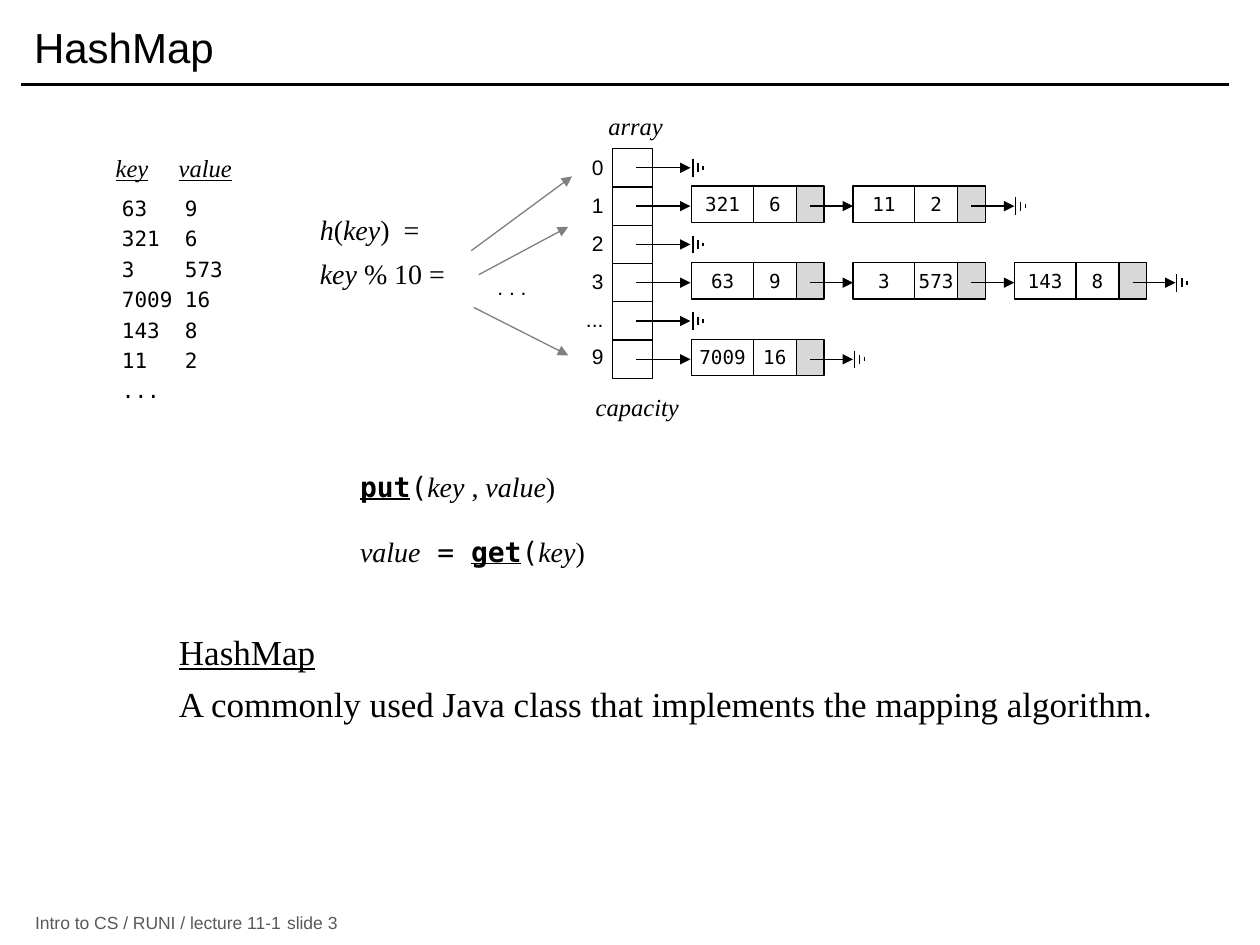
from lxml.etree import SubElement
from pptx import Presentation
from pptx.dml.color import RGBColor
from pptx.enum.shapes import MSO_CONNECTOR, MSO_SHAPE
from pptx.enum.text import MSO_ANCHOR, MSO_AUTO_SIZE, PP_ALIGN
from pptx.oxml.ns import qn
from pptx.util import Inches, Pt

BLACK = RGBColor(0x00, 0x00, 0x00)
WHITE = RGBColor(0xFF, 0xFF, 0xFF)
LIGHT_GRAY = RGBColor(0xD8, 0xD8, 0xD8)
GRAY = RGBColor(0x7F, 0x7F, 0x7F)
FOOTER_GRAY = RGBColor(0x59, 0x59, 0x59)
SANS, SERIF, MONO = "Arial", "Times New Roman", "DejaVu Sans Mono"

BUCKETS = [
    ("0", []),
    ("1", [("321", "6"), ("11", "2")]),
    ("2", []),
    ("3", [("63", "9"), ("3", "573"), ("143", "8")]),
    ("...", []),
    ("9", [("7009", "16")]),
]
ENTRIES = ["63\t9", "321\t6", "3\t573", "7009\t16", "143\t8", "11\t2", "..."]
ARRAY_LEFT, ARRAY_TOP, CELL_HEIGHT = 4.86, 1.18, 0.304
CHAIN_LEFT, NODE_STEP = 5.49, 1.28


class SlideBuilder:
    def __init__(self, slide):
        self.slide = slide

    def fill_text(self, shape, paragraphs, font=SANS, size=12, color=BLACK,
                  align=PP_ALIGN.LEFT, anchor=MSO_ANCHOR.TOP, space_before=0,
                  line_spacing=1.0, tab=None, margins=(0.1, 0.1)):
        frame = shape.text_frame
        frame.word_wrap = True
        frame.auto_size = MSO_AUTO_SIZE.NONE
        frame.vertical_anchor = anchor
        frame.margin_left, frame.margin_right = map(Inches, margins)
        frame.margin_top = frame.margin_bottom = Inches(0.05)
        for index, runs in enumerate(paragraphs):
            paragraph = frame.add_paragraph() if index else frame.paragraphs[0]
            paragraph.alignment = align
            paragraph.line_spacing = line_spacing
            paragraph.space_before = Pt(space_before if index else 0)
            properties = paragraph._p.get_or_add_pPr()
            properties.set("marL", "0")
            properties.set("indent", "0")
            SubElement(properties, qn("a:buNone"))
            if tab:
                position, kind = tab
                tabs = SubElement(properties, qn("a:tabLst"))
                SubElement(tabs, qn("a:tab"), pos=str(Inches(position)), algn=kind)
            for text, style, *run_font in runs:
                run = paragraph.add_run()
                run.text = text
                run.font.name = run_font[0] if run_font else font
                run.font.size = Pt(size)
                run.font.color.rgb = color
                run.font.bold = "b" in style
                run.font.italic = "i" in style
                run.font.underline = "u" in style

    def place(self, shape, left, top, width, height):
        shape.left, shape.top = Inches(left), Inches(top)
        shape.width, shape.height = Inches(width), Inches(height)
        return shape

    def title(self, box, text):
        shape = self.place(self.slide.shapes.title, *box)
        self.fill_text(shape, [[(text, "")]], size=24, anchor=MSO_ANCHOR.MIDDLE)

    def body(self, box, paragraphs, **style):
        shape = self.place(self.slide.placeholders[1], *box)
        self.fill_text(shape, paragraphs, **style)

    def text(self, box, paragraphs, **style):
        shape = self.slide.shapes.add_textbox(*map(Inches, box))
        self.fill_text(shape, paragraphs, **style)

    def cell(self, box, fill=WHITE, text=None):
        shape = self.slide.shapes.add_shape(MSO_SHAPE.RECTANGLE, *map(Inches, box))
        shape.shadow.inherit = False
        shape.fill.solid()
        shape.fill.fore_color.rgb = fill
        shape.line.color.rgb = BLACK
        shape.line.width = Pt(0.75)
        if text:
            self.fill_text(shape, [[(text, "")]], font=MONO, size=11,
                           align=PP_ALIGN.CENTER, margins=(0, 0))

    def line(self, start, end, color=BLACK, width=0.75, arrow=False):
        connector = self.slide.shapes.add_connector(
            MSO_CONNECTOR.STRAIGHT, *map(Inches, (*start, *end)))
        connector.line.color.rgb = color
        connector.line.width = Pt(width)
        properties = connector._element.spPr
        if arrow:
            SubElement(properties.find(qn("a:ln")), qn("a:tailEnd"), type="triangle")
        SubElement(properties, qn("a:effectLst"))

    def null_mark(self, left, middle):
        for offset, half in ((0, 0.07), (0.04, 0.035), (0.08, 0.015)):
            x = left + offset
            self.line((x, middle - half), (x, middle + half))

    def node(self, left, middle, key, value):
        top = middle - 0.16
        self.cell((left, top, 0.49, 0.29), text=key)
        self.cell((left + 0.49, top, 0.34, 0.29), text=value)
        self.cell((left + 0.83, top, 0.22, 0.29), fill=LIGHT_GRAY)
        self.line((left + 0.94, middle), (left + NODE_STEP, middle), arrow=True)

    def bucket(self, index, label, chain):
        top = ARRAY_TOP + index * CELL_HEIGHT
        middle = top + CELL_HEIGHT / 2
        self.cell((ARRAY_LEFT, top, 0.32, CELL_HEIGHT))
        self.text((4.37, ARRAY_TOP + 0.3 * index, 0.5, 0.3), [[(label, "")]],
                  align=PP_ALIGN.RIGHT, margins=(0, 0.08))
        self.line((5.05, middle), (5.48, middle), arrow=True)
        for position, (key, value) in enumerate(chain):
            self.node(CHAIN_LEFT + position * NODE_STEP, middle, key, value)
        self.null_mark(CHAIN_LEFT + len(chain) * NODE_STEP + 0.01, middle)


def main():
    presentation = Presentation()
    presentation.slide_width, presentation.slide_height = Inches(10), Inches(7.5)
    slide = presentation.slides.add_slide(presentation.slide_layouts[1])
    builder = SlideBuilder(slide)

    builder.title((0.17, 0.08, 9.58, 0.58), "HashMap")
    builder.line((0.17, 0.67), (9.75, 0.67), width=2)
    builder.text((0.18, 7.23, 9.42, 0.19),
                 [[("Intro to CS / RUNI / lecture 11-1\tslide 3", "")]], size=10,
                 color=FOOTER_GRAY, anchor=MSO_ANCHOR.MIDDLE, tab=(8.59, "l"))

    builder.text((0.82, 1.21, 3.17, 0.33),
                 [[("key", "iu"), ("\t", "i"), ("value", "iu")]],
                 font=SERIF, size=14, line_spacing=0.8, tab=(0.56, "l"))
    builder.text((0.87, 1.5, 2.63, 1.69), [[(entry, "")] for entry in ENTRIES],
                 font=MONO, space_before=3, tab=(0.91, "r"))

    builder.text((2.44, 1.64, 1.25, 0.72),
                 [[("h", "i"), ("(", ""), ("key", "i"), (")  =", "")],
                  [("key", "i"), (" % 10 =", "")]],
                 font=SERIF, size=16, space_before=6)
    builder.text((3.76, 2.13, 0.5, 0.3), [[(". . .", "")]],
                 align=PP_ALIGN.RIGHT, margins=(0, 0.08))
    for start, end in (((3.74, 1.99), (4.54, 1.4)),
                       ((3.8, 2.18), (4.51, 1.8)),
                       ((3.76, 2.44), (4.51, 2.82))):
        builder.line(start, end, color=GRAY, arrow=True)

    for index, (label, chain) in enumerate(BUCKETS):
        builder.bucket(index, label, chain)
    builder.text((4.73, 0.83, 0.74, 0.34), [[("array", "i")]], font=SERIF, size=14)
    builder.text((4.63, 3.06, 1.03, 0.34), [[("capacity", "i")]], font=SERIF, size=14)

    builder.text((2.76, 3.68, 3.94, 0.4),
                 [[("put", "bu", MONO), ("(", "", MONO), ("key ", "i"),
                   (", ", ""), ("value", "i"), (")", "")]],
                 font=SERIF, size=16)
    builder.text((2.76, 4.19, 3.39, 0.4),
                 [[("value", "i"), (" = ", "", MONO), ("get", "bu", MONO),
                   ("(", "", MONO), ("key", "i"), (")", "")]],
                 font=SERIF, size=16)
    builder.body((1.32, 4.95, 8.31, 1.94),
                 [[("HashMap", "u")],
                  [("A commonly used Java class that implements the mapping algorithm.", "")]],
                 font=SERIF, size=20, space_before=6)
    presentation.save("out.pptx")


if __name__ == "__main__":
    main()
